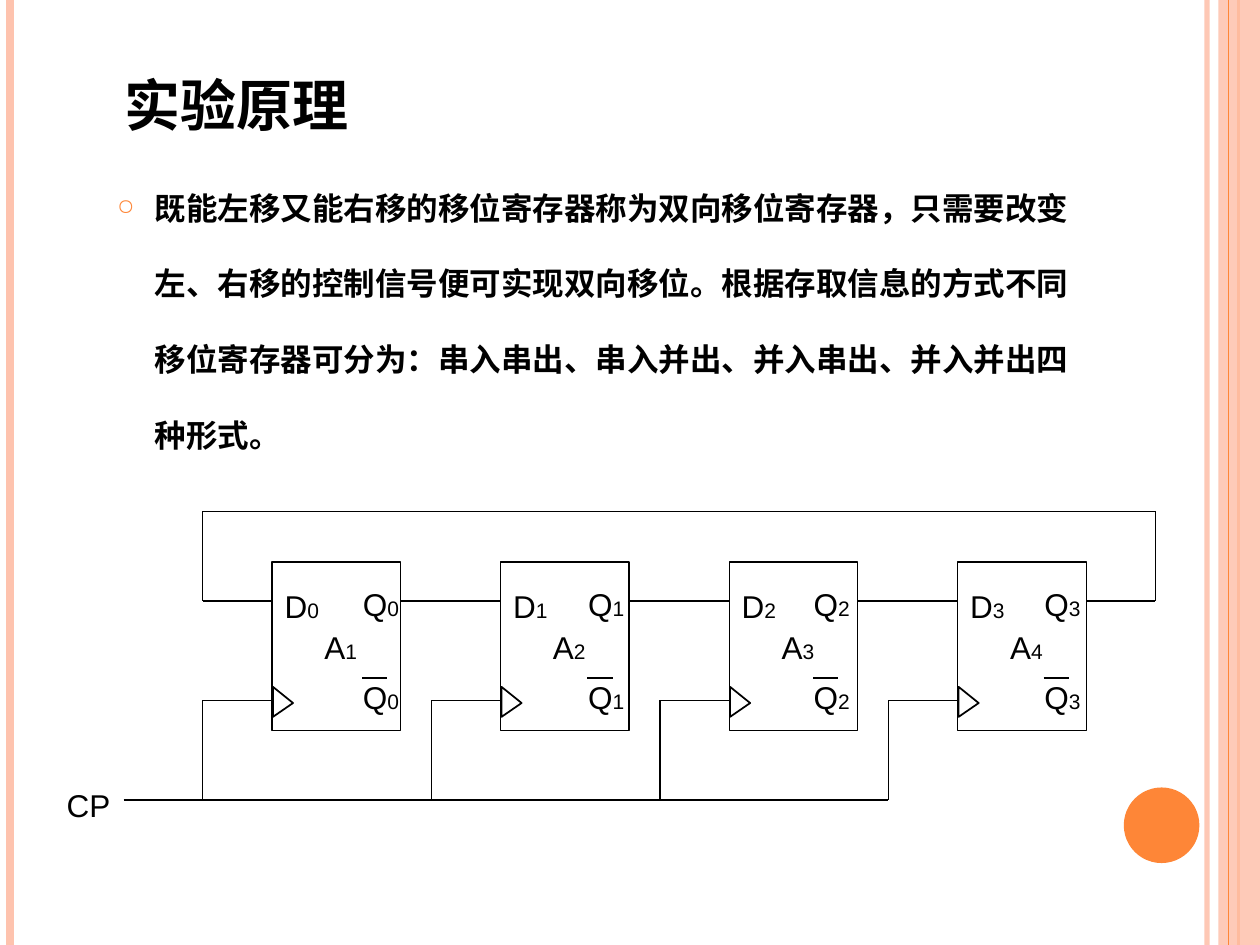
from dataclasses import dataclass

import pptx
import pptx.dml.color
import pptx.enum.shapes
import pptx.enum.text
import pptx.oxml.ns
import pptx.util
from lxml import etree

Pt = pptx.util.Pt
Shape = pptx.enum.shapes.MSO_SHAPE
Anchor = pptx.enum.text.MSO_ANCHOR
qn = pptx.oxml.ns.qn

COLORS = {"ink": "000000", "paper": "FFFFFF", "orange": "FE8637", "peach": "FEC3AE"}
LATIN, CJK = "Arial", "Noto Sans CJK SC"

STAGE_LEFT, STAGE_PITCH = 155.5, 130.6
STAGE_TOP, STAGE_WIDTH, STAGE_HEIGHT = 321.1, 73.4, 96.5
LEAD = 39.6  # wire length in front of the first stage and each clock input
DATA_Y, FEEDBACK_Y, CLOCK_Y, BUS_Y = 343.4, 292.3, 400.3, 457.2
FEEDBACK_RIGHT = 660.2


@dataclass
class Stage:
    index: int
    output_left: float

    @property
    def left(self) -> float:
        return STAGE_LEFT + self.index * STAGE_PITCH

    @property
    def right(self) -> float:
        return self.left + STAGE_WIDTH


STAGES = [Stage(i, left) for i, left in enumerate((200.2, 329, 457.9, 589.7))]


def rgb(color: str) -> pptx.dml.color.RGBColor:
    return pptx.dml.color.RGBColor.from_string(COLORS[color])


def set_opacity(fill_owner, percent: int) -> None:
    """Make the solid colour inside an XML element partly transparent."""
    color = next(fill_owner.iter(qn("a:srgbClr")))
    etree.SubElement(color, qn("a:alpha")).set("val", str(percent * 1000))


def add_line(slide, x1: float, y1: float, x2: float, y2: float,
             color: str = "ink", weight: float = 0.75):
    line = slide.shapes.add_connector(
        pptx.enum.shapes.MSO_CONNECTOR.STRAIGHT, Pt(x1), Pt(y1), Pt(x2), Pt(y2))
    line.line.color.rgb = rgb(color)
    line.line.width = Pt(weight)
    etree.SubElement(line._element.spPr, qn("a:effectLst"))
    return line


def add_wire(slide, *points: tuple[float, float]) -> None:
    """Join the points with straight lines, one after another."""
    for start, end in zip(points, points[1:]):
        add_line(slide, *start, *end)


def add_figure(slide, kind, left: float, top: float, width: float, height: float,
               fill: str | None = None, outline: str | None = None, weight: float = 0.75):
    figure = slide.shapes.add_shape(kind, Pt(left), Pt(top), Pt(width), Pt(height))
    figure.shadow.inherit = False
    if fill:
        figure.fill.solid()
        figure.fill.fore_color.rgb = rgb(fill)
    else:
        figure.fill.background()
    if outline:
        figure.line.color.rgb = rgb(outline)
        figure.line.width = Pt(weight)
    else:
        figure.line.fill.background()
    return figure


def add_text(slide, text: str, left: float, top: float, width: float = 39.6,
             height: float = 28.8, *, subscript: str = "", size: float = 18,
             bold: bool = False, font: str = LATIN, anchor=Anchor.TOP):
    """Add a text box, with an optional smaller index, and return its paragraph."""
    box = slide.shapes.add_textbox(Pt(left), Pt(top), Pt(width), Pt(height))
    box.text_frame.word_wrap = True
    box.text_frame.vertical_anchor = anchor
    para = box.text_frame.paragraphs[0]
    for content, points in ((text, size), (subscript, 12)):
        if content:
            span = para.add_run()
            span.text = content
            span.font.size = Pt(points)
            span.font.bold = bold
            span.font.name = font
            span.font.color.rgb = rgb("ink")
            etree.SubElement(span._r.get_or_add_rPr(), qn("a:ea")).set("typeface", CJK)
    return para


def add_bullet(para, char: str, color: str, percent: int, indent: float) -> None:
    properties = para._p.get_or_add_pPr()
    properties.set("marL", str(Pt(indent)))
    properties.set("indent", str(-Pt(indent)))
    bullet_color = etree.SubElement(properties, qn("a:buClr"))
    etree.SubElement(bullet_color, qn("a:srgbClr")).set("val", COLORS[color])
    etree.SubElement(properties, qn("a:buSzPct")).set("val", str(percent * 1000))
    etree.SubElement(properties, qn("a:buChar")).set("char", char)


def draw_frame(slide) -> None:
    """Draw the coloured side stripes and the disc."""
    def stripe(x: float, color: str, weight: float):
        return add_line(slide, x, 0, x, 540, color, weight)

    set_opacity(stripe(689.8, "peach", 3)._element, 90)
    stripe(5.8, "peach", 4.5)
    stripe(707.8, "orange", 1.5)
    band = add_figure(slide, Shape.RECTANGLE, 696.2, 0, 23.8, 540, "peach")
    set_opacity(band._element.spPr, 87)
    stripe(702, "orange", 0.75)
    add_figure(slide, Shape.OVAL, 642.2, 450, 43.2, 43.2, "orange")


def draw_stage(slide, stage: Stage) -> None:
    """Draw one flip-flop with its labels, clock input and clock wire."""
    left, number = stage.left, str(stage.index)
    add_figure(slide, Shape.RECTANGLE, left, STAGE_TOP, STAGE_WIDTH, STAGE_HEIGHT,
               outline="ink")
    add_text(slide, "D", left, 332, subscript=number)
    add_text(slide, "A", left + 22.8, 355.2, subscript=str(stage.index + 1))
    for top in (330.5, 383.8):
        add_text(slide, "Q", stage.output_left, top, subscript=number)
    bar_left = stage.output_left + 6.7
    add_line(slide, bar_left, 387.5, bar_left + 14.4, 387.5, weight=1.25)
    add_wire(slide, (left, CLOCK_Y), (left - LEAD, CLOCK_Y), (left - LEAD, BUS_Y))
    clock = add_figure(slide, Shape.ISOSCELES_TRIANGLE, left - 2.4, 395.3, 17.2, 11.5,
                       "paper", "ink", 1)
    clock.adjustments[0] = 0.54
    clock.rotation = 90


def draw_register(slide) -> None:
    for stage in STAGES:
        draw_stage(slide, stage)
    for source, target in zip(STAGES, STAGES[1:]):
        add_wire(slide, (source.right, DATA_Y), (target.left, DATA_Y))
    first, last = STAGES[0], STAGES[-1]
    add_wire(slide, (last.right, DATA_Y), (FEEDBACK_RIGHT, DATA_Y),
             (FEEDBACK_RIGHT, FEEDBACK_Y), (first.left - LEAD, FEEDBACK_Y),
             (first.left - LEAD, DATA_Y), (first.left, DATA_Y))
    add_wire(slide, (70.6, BUS_Y), (last.left - LEAD, BUS_Y))
    add_text(slide, "CP", 31, 445.7, 43.2)


def main() -> None:
    deck = pptx.Presentation()
    deck.slide_width, deck.slide_height = Pt(720), Pt(540)
    slide = deck.slides.add_slide(deck.slide_layouts[6])
    draw_frame(slide)
    add_text(slide, "实验原理", 64.1, 19.4, 159.1, 62.6, size=32, bold=True,
             font=CJK, anchor=Anchor.BOTTOM)
    body = add_text(
        slide,
        "既能左移又能右移的移位寄存器称为双向移位寄存器，只需要改变左、右移的控制信号便可实现双向移位。"
        "根据存取信息的方式不同移位寄存器可分为：串入串出、串入并出、并入串出、并入并出四种形式。",
        59.8, 82.8, 574.6, 204.5, bold=True)
    body.line_spacing = 2.0
    body.space_before = Pt(6)
    add_bullet(body, "○", "orange", 70, 21.6)
    draw_register(slide)
    deck.save("out.pptx")


if __name__ == "__main__":
    main()
